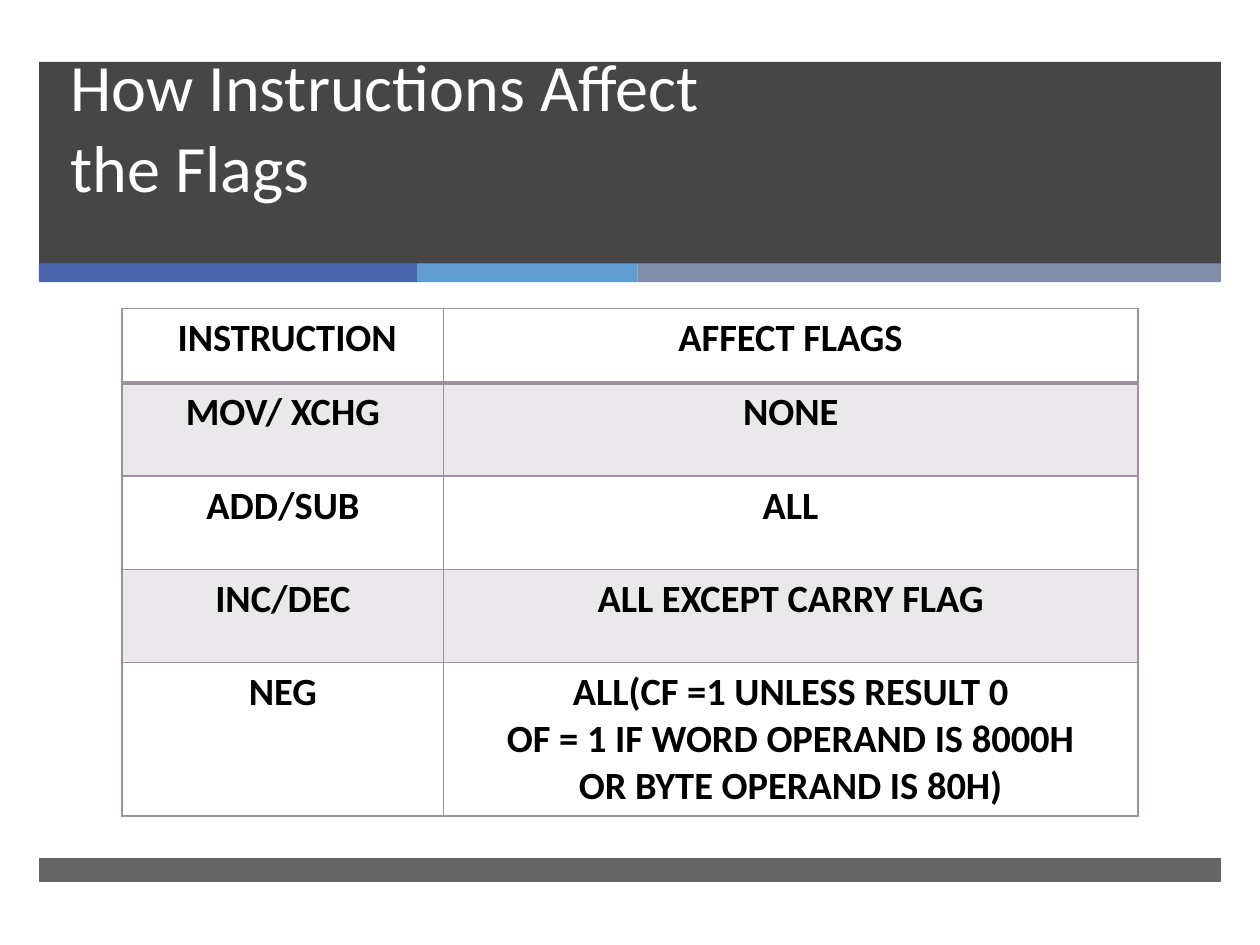
from pptx import Presentation
from pptx.dml.color import RGBColor
from pptx.enum.shapes import MSO_SHAPE
from pptx.enum.text import MSO_ANCHOR, PP_ALIGN
from pptx.oxml.ns import qn
from pptx.util import Inches, Pt
from lxml import etree

RECT = MSO_SHAPE.RECTANGLE
BOTTOM = MSO_ANCHOR.BOTTOM
LEFT, CENTER = PP_ALIGN.LEFT, PP_ALIGN.CENTER
FONT = "Calibri"
COLORS = {"dark": "262626", "blue": "4A66AC", "sky": "629DD1", "slate": "7F8FA9",
          "mauve": "9D90A0", "white": "FFFFFF", "black": "000000"}


def paint(fill, name, alpha=100):
    fill.solid()
    fill.fore_color.rgb = RGBColor.from_string(COLORS[name])
    if alpha < 100:
        color = fill._xPr.find(qn("a:solidFill"))[0]
        etree.SubElement(color, qn("a:alpha"), val=str(alpha * 1000))


def style(para, size, name, bold, align):
    para.alignment = align
    for run in para.runs:
        run.font.name = FONT
        run.font.size = Pt(size)
        run.font.bold = bold
        run.font.color.rgb = RGBColor.from_string(COLORS[name])


deck = Presentation()
deck.slide_width, deck.slide_height = Inches(10), Inches(7.5)
slide = deck.slides.add_slide(deck.slide_layouts[5])
shapes = slide.shapes

# Title band, accent strip and footer bar
bars = [(0.31, 0.49, 9.38, 1.61, "dark", 85),
        (0.31, 2.09, 3, 0.15, "blue", 100),
        (3.31, 2.09, 1.75, 0.15, "sky", 100),
        (5.06, 2.09, 4.63, 0.15, "slate", 100),
        (0.31, 6.81, 9.38, 0.19, "dark", 70)]
for x, y, w, h, name, alpha in bars:
    bar = shapes.add_shape(RECT, Inches(x), Inches(y), Inches(w), Inches(h))
    bar.shadow.inherit = False
    bar.line.fill.background()
    paint(bar.fill, name, alpha)

# Title, placed in front of the band
title = shapes.title
shapes._spTree.append(title._element)
title.left, title.top = Inches(0.46), Inches(0.49)
title.width, title.height = Inches(8.54), Inches(1.19)
frame = title.text_frame
frame.text = "How Instructions Affect \vthe Flags"
frame.word_wrap = True
frame.vertical_anchor = BOTTOM
frame.paragraphs[0].line_spacing = Pt(46)
style(frame.paragraphs[0], 37.8, "white", False, LEFT)

# Table of instructions and flags
rows = [(" INSTRUCTION", "AFFECT FLAGS"),
        ("MOV/ XCHG", "NONE"),
        ("ADD/SUB", "ALL"),
        ("INC/DEC", "ALL EXCEPT CARRY FLAG"),
        ("NEG", "ALL(CF =1 UNLESS RESULT 0\n"
                "OF = 1 IF WORD OPERAND IS 8000H\n"
                "OR BYTE OPERAND IS 80H)")]
table = shapes.add_table(len(rows), 2, Inches(0.97), Inches(2.45),
                         Inches(8.06), Inches(4)).table
table.first_row = table.horz_banding = False
for col, width in zip(table.columns, (2.55, 5.51)):
    col.width = Inches(width)
for row, height in zip(table.rows, (0.59, 0.74, 0.74, 0.74, 1.18)):
    row.height = Inches(height)

for r, texts in enumerate(rows):
    for c, text in enumerate(texts):
        cell = table.cell(r, c)
        cell.text_frame.text = text
        for para in cell.text_frame.paragraphs:
            style(para, 22, "black", True, CENTER)

        # Borders, with a thicker rule under the header
        props = cell._tc.get_or_add_tcPr()
        for side in "LRTB":
            thick = (r, side) in ((0, "B"), (1, "T"))
            line = etree.SubElement(props, qn("a:ln" + side),
                                    w=str(Pt(2 if thick else 1)))
            solid = etree.SubElement(line, qn("a:solidFill"))
            etree.SubElement(solid, qn("a:srgbClr"), val=COLORS["mauve"])

        if r % 2:
            paint(cell.fill, "mauve", 20)
        else:
            cell.fill.background()

deck.save("out.pptx")
